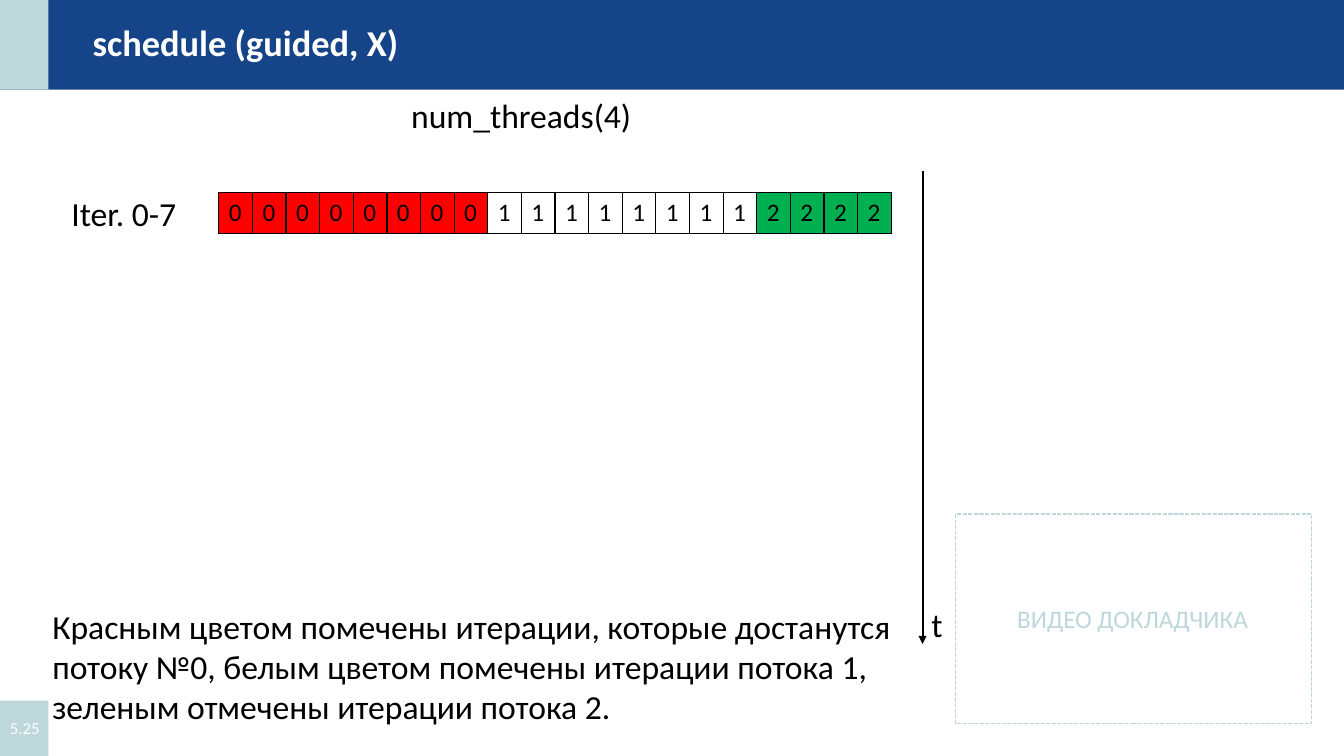
from lxml import etree
from pptx import Presentation
from pptx.dml.color import RGBColor
from pptx.enum.dml import MSO_LINE
from pptx.enum.shapes import MSO_CONNECTOR, MSO_SHAPE
from pptx.enum.text import MSO_ANCHOR
from pptx.oxml import parse_xml
from pptx.oxml.ns import nsdecls, qn
from pptx.util import Inches, Pt

RECT = MSO_SHAPE.RECTANGLE
STRAIGHT = MSO_CONNECTOR.STRAIGHT
TOP, MIDDLE = MSO_ANCHOR.TOP, MSO_ANCHOR.MIDDLE
DASH = MSO_LINE.SQUARE_DOT

BLUE = RGBColor(0x16, 0x44, 0x89)
PALE = RGBColor(0xBD, 0xD7, 0xDA)
WHITE = RGBColor(0xFF, 0xFF, 0xFF)
BLACK = RGBColor(0, 0, 0)
RED = RGBColor(0xFF, 0, 0)
GREEN = RGBColor(0, 0xB0, 0x50)
FONT = "Calibri"

PANELS = [
    ((0, 0, 13.33, 0.89), BLUE),
    ((0, 0, 0.48, 0.89), PALE),
    ((0, 6.95, 0.48, 0.55), PALE),
]
VIDEO_FRAME = (9.48, 5.1, 3.53, 2.08)
EXPLANATION = (
    "Красным цветом помечены итерации, которые достанутся потоку №0, "
    "белым цветом помечены итерации потока 1, "
    "зеленым отмечены итерации потока 2."
)
# text, box, size, colour, bold, wrap, anchor
TEXTS = [
    ("ВИДЕО ДОКЛАДЧИКА", (9.99, 5.94, 2.51, 0.4), 18, PALE, False, False, TOP),
    ("schedule (guided, X)", (0.82, 0.24, 9.69, 0.4), 26, WHITE, True, True, MIDDLE),
    ("5.25", (0, 7.02, 0.56, 0.4), 12, WHITE, False, True, MIDDLE),
    (EXPLANATION, (0.42, 5.96, 8.98, 1.31), 24, BLACK, False, True, TOP),
    ("num_threads(4)", (3.98, 0.89, 2.41, 0.5), 24, BLACK, False, False, TOP),
    ("t", (9.14, 5.94, 0.31, 0.5), 24, BLACK, False, False, TOP),
    ("Iter. 0-7", (0.61, 1.86, 1.32, 0.5), 24, BLACK, False, True, TOP),
]
CHUNKS = [("0", 8, RED), ("1", 8, None), ("2", 4, GREEN)]
TABLE_BOX = (2.17, 1.91, 6.67, 0.41)
TIME_AXIS = (9.15, 1.7, 9.15, 6.39)


def inches(values):
    return [Inches(v) for v in values]


def style_run(r, size, color, bold=False):
    r.font.name = FONT
    r.font.size = Pt(size)
    r.font.bold = bold
    r.font.color.rgb = color


def add_rect(s, box):
    sp = s.shapes.add_shape(RECT, *inches(box))
    sp.shadow.inherit = False
    return sp


def add_text(s, text, box, size, color, bold, wrap, anchor):
    tf = s.shapes.add_textbox(*inches(box)).text_frame
    tf.word_wrap = wrap
    tf.vertical_anchor = anchor
    tf.text = text
    p = tf.paragraphs[0]
    if bold:
        p.line_spacing = 0.9
    style_run(p.runs[0], size, color, bold)


def add_borders(cell):
    tc_pr = cell._tc.get_or_add_tcPr()
    for i, side in enumerate(("lnL", "lnR", "lnT", "lnB")):
        tc_pr.insert(i, parse_xml(
            f'<a:{side} {nsdecls("a")} w="12700"><a:solidFill>'
            f'<a:srgbClr val="{BLACK}"/></a:solidFill></a:{side}>'))


def add_iterations(s):
    cells = [(thread, fill) for thread, n, fill in CHUNKS for _ in range(n)]
    frame = s.shapes.add_table(1, len(cells), *inches(TABLE_BOX))
    table = frame.table
    table.first_row = table.horz_banding = False
    for i, (thread, fill) in enumerate(cells):
        table.columns[i].width = Inches(TABLE_BOX[2] / len(cells))
        cell = table.cell(0, i)
        cell.text = thread
        style_run(cell.text_frame.paragraphs[0].runs[0], 18, BLACK)
        if fill is None:
            cell.fill.background()
        else:
            cell.fill.solid()
            cell.fill.fore_color.rgb = fill
        add_borders(cell)


def add_time_axis(s):
    axis = s.shapes.add_connector(STRAIGHT, *inches(TIME_AXIS))
    axis.line.color.rgb = BLACK
    axis.line.width = Pt(1.5)
    etree.SubElement(axis.line._get_or_add_ln(), qn("a:tailEnd"), type="triangle")
    etree.SubElement(axis._element.spPr, qn("a:effectLst"))


def main():
    prs = Presentation()
    prs.slide_width, prs.slide_height = inches((13.33, 7.5))
    s = prs.slides.add_slide(prs.slide_layouts[6])

    for box, color in PANELS:
        sp = add_rect(s, box)
        sp.fill.solid()
        sp.fill.fore_color.rgb = color
        sp.line.fill.background()

    frame = add_rect(s, VIDEO_FRAME)
    frame.fill.background()
    frame.line.color.rgb = PALE
    frame.line.width = Pt(1)
    frame.line.dash_style = DASH

    for item in TEXTS:
        add_text(s, *item)
    add_time_axis(s)
    add_iterations(s)
    prs.save("out.pptx")


if __name__ == "__main__":
    main()
